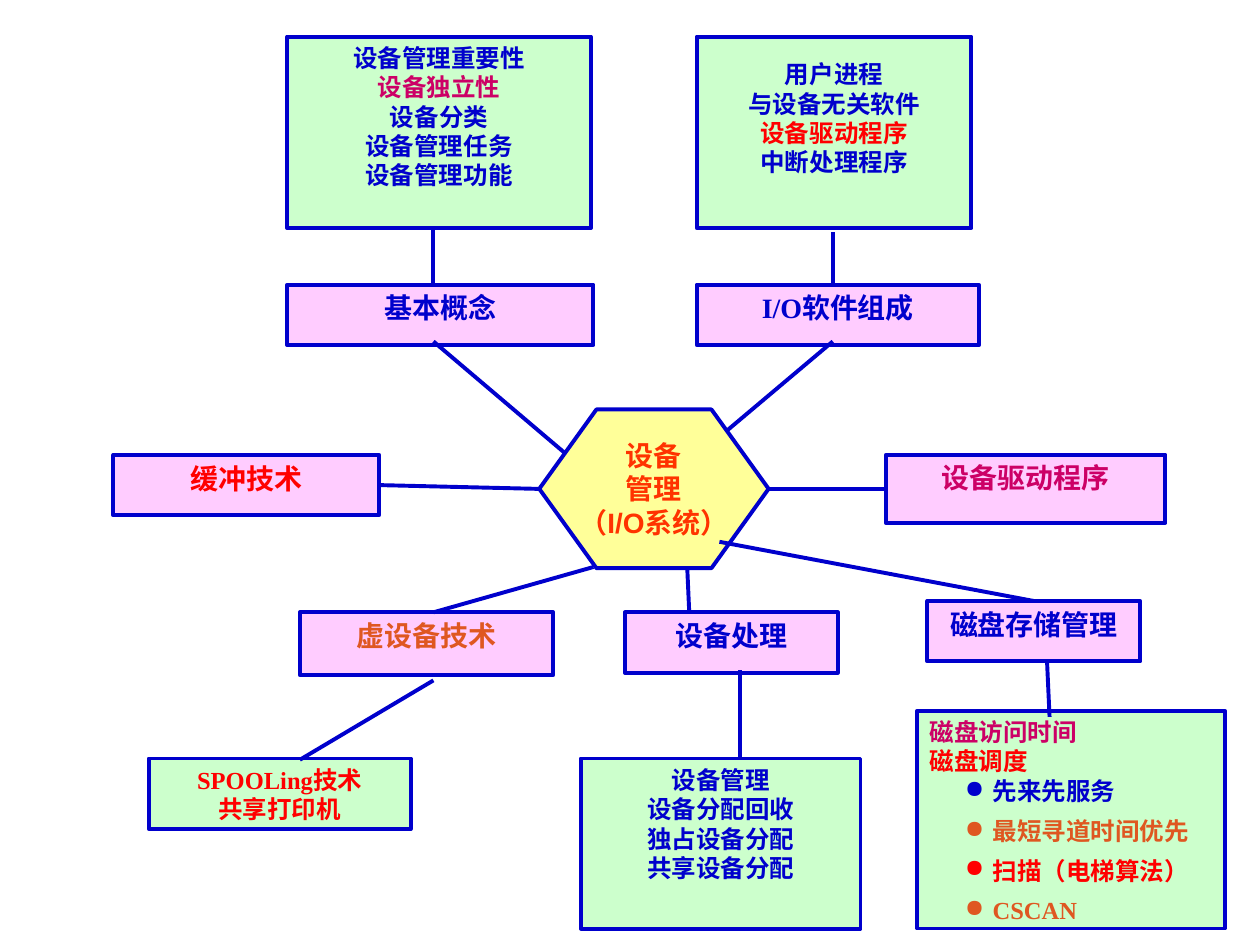
from dataclasses import dataclass

from lxml.etree import SubElement
from pptx import Presentation
from pptx.dml.color import RGBColor
from pptx.enum.shapes import MSO_CONNECTOR, MSO_SHAPE
from pptx.enum.text import MSO_ANCHOR, PP_ALIGN
from pptx.oxml.ns import qn
from pptx.util import Inches, Pt

BLUE = RGBColor(0x00, 0x00, 0xCC)
RED = RGBColor(0xFF, 0x00, 0x00)
MAGENTA = RGBColor(0xCC, 0x00, 0x66)
ORANGE = RGBColor(0xDF, 0x57, 0x21)
VERMILION = RGBColor(0xFF, 0x33, 0x00)
GREEN_FILL = RGBColor(0xCC, 0xFF, 0xCC)
PINK_FILL = RGBColor(0xFF, 0xCC, 0xFF)
YELLOW_FILL = RGBColor(0xFF, 0xFF, 0x99)
LINE_WIDTH = Pt(2.25)
TOP, LEFT, RIGHT = 0, 1, 3


@dataclass
class Line:
    text: str
    color: RGBColor = BLUE
    bullet: bool = False


@dataclass
class Node:
    box: tuple[float, float, float, float]
    lines: list[Line]
    fill: RGBColor = PINK_FILL
    size: int = 16
    font: str = "Times New Roman"
    align: PP_ALIGN = PP_ALIGN.CENTER
    top_inset: float = 0.05
    preset: MSO_SHAPE = MSO_SHAPE.RECTANGLE


@dataclass
class Link:
    start: tuple[float, float]
    end: tuple[float, float]
    target: str = ""
    side: int = TOP


def topic(x: float, y: float, w: float, h: float, text: str,
          color: RGBColor = BLUE) -> Node:
    return Node((x, y, w, h), [Line(text, color)])


def detail(x: float, y: float, w: float, h: float, *lines: Line,
           align: PP_ALIGN = PP_ALIGN.CENTER, top_inset: float = 0.05) -> Node:
    return Node((x, y, w, h), list(lines), GREEN_FILL, 14,
                align=align, top_inset=top_inset)


NODES = {
    "concept details": detail(
        2.28, 0.29, 2.41, 1.52, Line("设备管理重要性"), Line("设备独立性", MAGENTA),
        Line("设备分类"), Line("设备管理任务"), Line("设备管理功能")),
    "software details": detail(
        5.53, 0.29, 2.18, 1.52, Line("用户进程"), Line("与设备无关软件"),
        Line("设备驱动程序", RED), Line("中断处理程序"), top_inset=0.18),
    "spooling details": detail(
        1.18, 6.02, 2.08, 0.56, Line("SPOOLing技术", RED), Line("共享打印机", RED)),
    "handling details": detail(
        4.61, 6.02, 2.22, 1.35, Line("设备管理"), Line("设备分配回收"),
        Line("独占设备分配"), Line("共享设备分配")),
    "disk details": detail(
        7.28, 5.64, 2.44, 1.73, Line("磁盘访问时间", MAGENTA), Line("磁盘调度", RED),
        Line("先来先服务", BLUE, True), Line("最短寻道时间优先", ORANGE, True),
        Line("扫描（电梯算法）", RED, True), Line("CSCAN", ORANGE, True),
        align=PP_ALIGN.JUSTIFY),
    "concept": topic(2.28, 2.26, 2.43, 0.48, "基本概念"),
    "software": topic(5.53, 2.26, 2.24, 0.48, "I/O软件组成"),
    "buffering": topic(0.9, 3.61, 2.11, 0.48, "缓冲技术", RED),
    "driver": topic(7.03, 3.61, 2.22, 0.54, "设备驱动程序", MAGENTA),
    "virtual device": topic(2.38, 4.86, 2.01, 0.5, "虚设备技术", ORANGE),
    "handling": topic(4.96, 4.86, 1.69, 0.48, "设备处理"),
    "disk": topic(7.36, 4.77, 1.69, 0.48, "磁盘存储管理"),
}
HUB = Node((4.28, 3.25, 1.82, 1.26),
           [Line(t, VERMILION) for t in ("设备", "管理", "（I/O系统）")],
           YELLOW_FILL, font="Arial", preset=MSO_SHAPE.HEXAGON)

LINKS_BEHIND_HUB = [
    Link((4.5, 3.61), (3.44, 2.71)),
    Link((5.66, 3.51), (6.61, 2.71)),
    Link((4.71, 4.5), (3.44, 4.86)),
    Link((5.45, 4.41), (5.47, 4.85)),
    Link((4.27, 3.88), (3.01, 3.85), "buffering", RIGHT),
    Link((5.87, 3.88), (7.03, 3.88), "driver", LEFT),
    Link((3.44, 2.26), (3.44, 1.81)),
    Link((6.61, 2.26), (6.61, 1.84)),
    Link((3.44, 5.4), (2.38, 6.03)),
    Link((5.87, 5.32), (5.87, 6.03)),
    Link((8.31, 5.25), (8.33, 5.69)),
]
DISK_LINK = Link((5.71, 4.3), (8.2, 4.77), "disk", TOP)


def add_bullet(p, color: RGBColor) -> None:
    pPr = p._p.get_or_add_pPr()
    pPr.set("marL", str(Inches(0.5)))
    pPr.set("indent", str(Inches(-0.22)))
    clr = SubElement(pPr, qn("a:buClr"))
    SubElement(clr, qn("a:srgbClr")).set("val", str(color))
    SubElement(pPr, qn("a:buChar")).set("char", "●")


def add_node(slide, node: Node):
    s = slide.shapes.add_shape(node.preset, *map(Inches, node.box))
    s.shadow.inherit = False
    s.fill.solid()
    s.fill.fore_color.rgb = node.fill
    s.line.color.rgb = BLUE
    s.line.width = LINE_WIDTH
    tf = s.text_frame
    tf.word_wrap = True
    tf.vertical_anchor = MSO_ANCHOR.TOP
    tf.margin_top = Inches(node.top_inset)
    for i, line in enumerate(node.lines):
        p = tf.add_paragraph() if i else tf.paragraphs[0]
        p.alignment = node.align
        if line.bullet:
            p.level = 1
            p.space_after = Pt(6)
            add_bullet(p, line.color)
        r = p.add_run()
        r.text = line.text
        r.font.name = node.font
        r.font.size = Pt(node.size)
        r.font.bold = True
        r.font.color.rgb = line.color
    return s


def add_link(slide, link: Link, shapes: dict) -> None:
    c = slide.shapes.add_connector(
        MSO_CONNECTOR.STRAIGHT, *map(Inches, link.start + link.end))
    c.line.color.rgb = BLUE
    c.line.width = LINE_WIDTH
    SubElement(c._element.spPr, qn("a:effectLst"))
    if link.target:
        c.end_connect(shapes[link.target], link.side)


def main() -> None:
    prs = Presentation()
    prs.slide_width, prs.slide_height = Inches(10), Inches(7.5)
    slide = prs.slides.add_slide(prs.slide_layouts[6])
    shapes = {name: add_node(slide, node) for name, node in NODES.items()}
    for link in LINKS_BEHIND_HUB:
        add_link(slide, link, shapes)
    hub = add_node(slide, HUB)
    hub.adjustments[0] = 0.36
    hub.text_frame.word_wrap = False
    hub.text_frame.vertical_anchor = MSO_ANCHOR.MIDDLE
    add_link(slide, DISK_LINK, shapes)
    prs.save("out.pptx")


if __name__ == "__main__":
    main()
